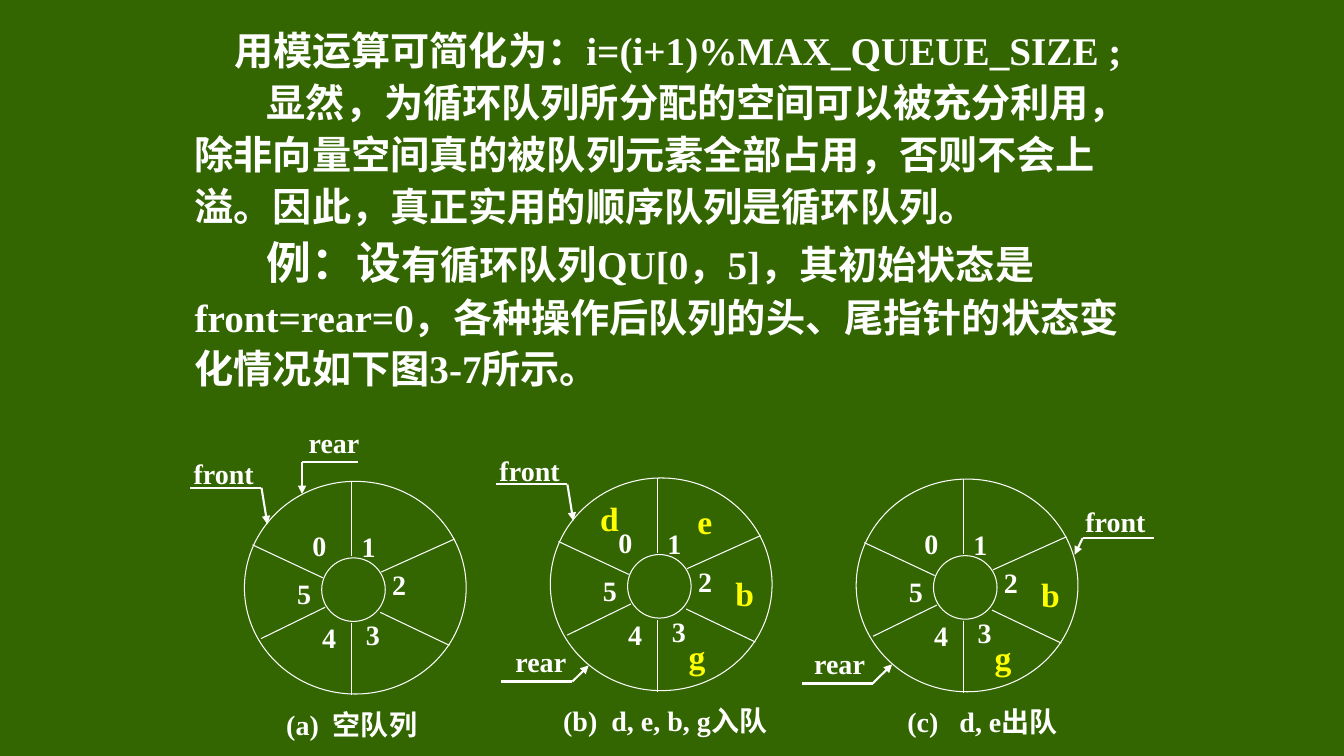
from dataclasses import dataclass

import pptx
import pptx.dml.color
import pptx.enum.shapes
import pptx.enum.text
import pptx.oxml.ns
import pptx.slide
import pptx.text.text
import pptx.util
from lxml import etree

Pt = pptx.util.Pt
Point = tuple[float, float]


@dataclass(frozen=True)
class Theme:
    background: str = "336600"
    ink: str = "FFFFFF"
    element: str = "FFFF00"
    latin_font: str = "Times New Roman"
    chinese_font: str = "Noto Sans CJK SC"
    body_size: float = 28
    lead_size: float = 32
    element_size: float = 24
    label_size: float = 20
    thin: float = 0.75
    thick: float = 1.5


@dataclass(frozen=True)
class Pointer:
    """A label over a shelf line that bends into an arrow; places are relative to the ring."""
    name: str
    label: Point
    shelf: Point
    bend: Point
    tip: Point


@dataclass(frozen=True)
class Queue:
    origin: Point
    caption: str
    caption_center: Point
    pointers: list[Pointer]
    elements: str = ""


@dataclass(frozen=True)
class BodyParagraph:
    runs: list[tuple[str, float]]
    left: float = 0
    first_line: float = 0


THEME = Theme()
RING_SIZE = (158.4, 151.9)
HUB_ORIGIN = (55.2, 54.7)
HUB_DIAMETER = 45.4
SPOKES: list[tuple[Point, Point]] = [
    ((76.3, 0), (76.3, 53.3)),
    ((76.3, 101.5), (76.3, 152.8)),
    ((97.7, 64.8), (150.2, 41.2)),
    ((12, 112.3), (57.6, 90)),
    ((97, 93.6), (146.5, 117.2)),
    ((5.8, 45.4), (56, 68.9)),
]
INDEX_CENTERS: list[Point] = [
    (53.6, 45.8), (88.7, 46.6), (110.5, 73.9), (91.8, 109.2), (60.6, 111.6), (42.6, 79.9),
]
ELEMENT_CENTERS: dict[str, Point] = {
    "d": (42.3, 28.6), "e": (110.3, 30.9), "b": (138.8, 82), "g": (104.8, 127.4),
}
FRONT_AT_SLOT_0 = Pointer("front", (-14.8, -5.8), (-38.6, 4.6), (12.2, 4.6), (16.4, 30.6))

QUEUES = [
    Queue((174.6, 343.8), "(a)  空队列", (76.6, 173.2), [
        FRONT_AT_SLOT_0,
        Pointer("rear", (64, -27.9), (81, -14.1), (41.2, -14.1), (41.2, 9)),
    ]),
    Queue((393.1, 341.4), "(b)  d, e, b, g入队", (82.1, 172.8), [
        FRONT_AT_SLOT_0,
        Pointer("rear", (-6.8, 131), (-35, 145.4), (15.8, 145.4), (27.4, 133.9)),
    ], "debg"),
    Queue((611.6, 342.2), "(c)   d, e出队", (90.2, 173.2), [
        Pointer("front", (185.2, 30.2), (212.8, 42.1), (161.8, 42.1), (156, 54)),
        Pointer("rear", (-11.9, 131.4), (-38.7, 146), (11.7, 146), (25.7, 132.3)),
    ], "bg"),
]

BODY = [
    BodyParagraph([("用模运算可简化为：i=(i+1)%MAX_QUEUE_SIZE ;", THEME.body_size)], left=28.2),
    BodyParagraph([("显然，为循环队列所分配的空间可以被充分利用，除非向量空间真的被队列元素全部占用，"
                    "否则不会上溢。因此，真正实用的顺序队列是循环队列。", THEME.body_size)],
                  first_line=51.6),
    BodyParagraph([("例：设", THEME.lead_size),
                   ("有循环队列QU[0，5]，其初始状态是front=rear=0，各种操作后队列的头、"
                    "尾指针的状态变化情况如下图3-7所示。", THEME.body_size)],
                  first_line=51.6),
]


def color(code: str) -> pptx.dml.color.RGBColor:
    return pptx.dml.color.RGBColor.from_string(code)


def add_child(parent: etree.ElementBase, tag: str, **attributes: str) -> None:
    element = etree.SubElement(parent, pptx.oxml.ns.qn(tag))
    for name, value in attributes.items():
        element.set(name, value)


def format_font(paragraph: pptx.text.text._Paragraph, size: float, ink: str) -> None:
    font = paragraph.font
    font.size, font.bold, font.name = Pt(size), True, THEME.latin_font
    font.color.rgb = color(ink)
    add_child(font._element, "a:ea", typeface=THEME.chinese_font)


def add_body(slide: pptx.slide.Slide) -> None:
    body = slide.placeholders[1]
    body.left, body.top, body.width, body.height = Pt(131.8), Pt(12.2), Pt(689.8), Pt(280.8)
    frame = body.text_frame
    frame.word_wrap = True
    frame.auto_size = pptx.enum.text.MSO_AUTO_SIZE.NONE
    for index, item in enumerate(BODY):
        paragraph = frame.paragraphs[0] if index == 0 else frame.add_paragraph()
        paragraph.line_spacing = 1.1
        paragraph.space_before = Pt(0)
        properties = paragraph._p.get_or_add_pPr()
        properties.set("marL", str(Pt(item.left)))
        properties.set("indent", str(Pt(item.first_line)))
        properties.set("hangingPunct", "0")
        add_child(properties, "a:buNone")
        format_font(paragraph, THEME.body_size, THEME.ink)
        for text, size in item.runs:
            run = paragraph.add_run()
            run.text = text
            if size != THEME.body_size:
                run.font.size = Pt(size)


class QueueDrawing:
    """Draws into one group, with places relative to the ring's corner."""

    def __init__(self, slide: pptx.slide.Slide, origin: Point) -> None:
        self.shapes = slide.shapes.add_group_shape().shapes
        self.origin = origin

    def place(self, point: Point) -> tuple[pptx.util.Length, pptx.util.Length]:
        return Pt(self.origin[0] + point[0]), Pt(self.origin[1] + point[1])

    def circle(self, corner: Point, width: float, height: float) -> None:
        shape = self.shapes.add_shape(pptx.enum.shapes.MSO_SHAPE.OVAL, *self.place(corner),
                                      Pt(width), Pt(height))
        shape.shadow.inherit = False
        shape.fill.background()
        shape.line.color.rgb = color(THEME.ink)
        shape.line.width = Pt(THEME.thin)

    def line(self, start: Point, end: Point, width: float, arrow: bool = False) -> None:
        connector = self.shapes.add_connector(pptx.enum.shapes.MSO_CONNECTOR.STRAIGHT,
                                              *self.place(start), *self.place(end))
        connector.line.color.rgb = color(THEME.ink)
        connector.line.width = Pt(width)
        if arrow:
            add_child(connector.line._get_or_add_ln(), "a:tailEnd", type="triangle")
        add_child(connector._element.spPr, "a:effectLst")

    def label(self, text: str, center: Point, size: float = THEME.label_size,
              ink: str = THEME.ink) -> None:
        width, height = 14 * len(text) + 30, 28
        corner = (center[0] - width / 2, center[1] - height / 2)
        box = self.shapes.add_textbox(*self.place(corner), Pt(width), Pt(height))
        frame = box.text_frame
        frame.word_wrap = False
        frame.vertical_anchor = pptx.enum.text.MSO_ANCHOR.MIDDLE
        paragraph = frame.paragraphs[0]
        paragraph.text = text
        paragraph.alignment = pptx.enum.text.PP_ALIGN.CENTER
        format_font(paragraph, size, ink)


def add_queue(slide: pptx.slide.Slide, queue: Queue) -> None:
    drawing = QueueDrawing(slide, queue.origin)
    drawing.circle(HUB_ORIGIN, HUB_DIAMETER, HUB_DIAMETER)
    drawing.circle((0, 0), *RING_SIZE)
    for start, end in SPOKES:
        drawing.line(start, end, THEME.thin)
    for index, center in enumerate(INDEX_CENTERS):
        drawing.label(str(index), center)
    for element in queue.elements:
        drawing.label(element, ELEMENT_CENTERS[element], THEME.element_size, THEME.element)
    for pointer in queue.pointers:
        drawing.label(pointer.name, pointer.label)
        drawing.line(pointer.shelf, pointer.bend, THEME.thick)
        drawing.line(pointer.bend, pointer.tip, THEME.thick, arrow=True)
    drawing.label(queue.caption, queue.caption_center)


def main() -> None:
    presentation = pptx.Presentation()
    presentation.slide_width, presentation.slide_height = Pt(960), Pt(540)
    slide = presentation.slides.add_slide(presentation.slide_layouts[1])
    title = slide.shapes.title._element
    title.getparent().remove(title)
    slide.background.fill.solid()
    slide.background.fill.fore_color.rgb = color(THEME.background)
    add_body(slide)
    for queue in QUEUES:
        add_queue(slide, queue)
    presentation.save("out.pptx")


if __name__ == "__main__":
    main()
